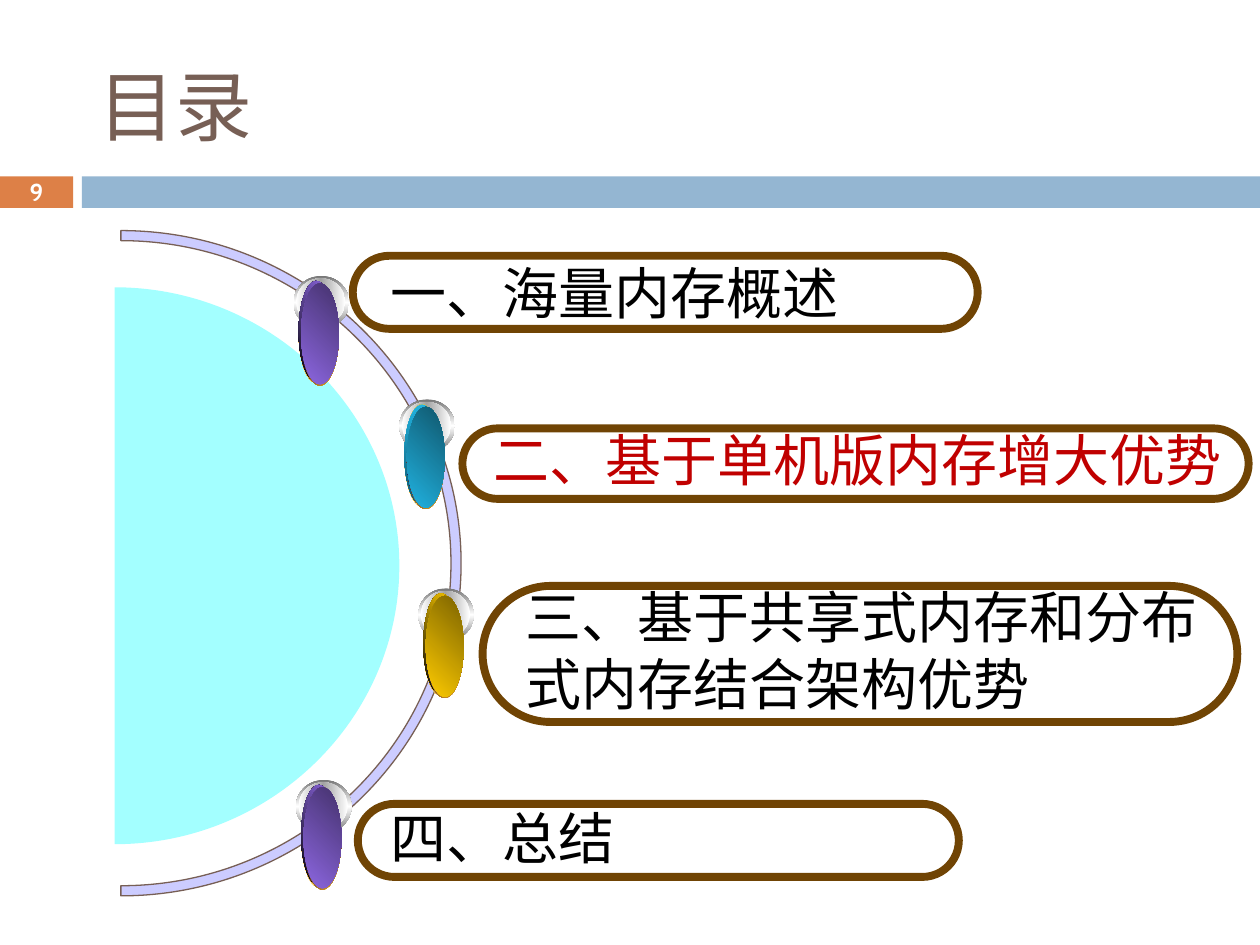
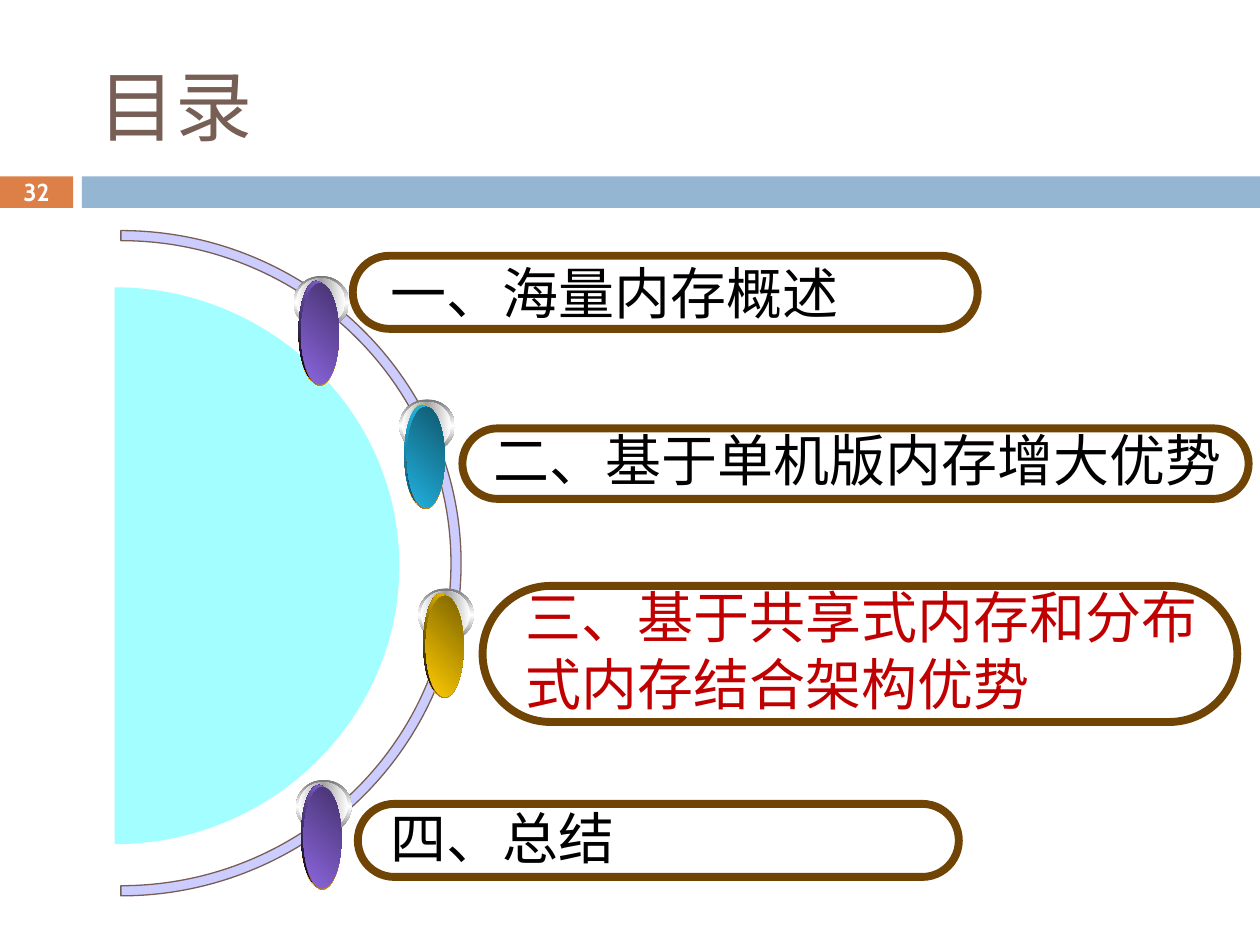
import dataclasses

import pptx
import pptx.dml.color
import pptx.enum.shapes
import pptx.enum.text
import pptx.oxml
import pptx.oxml.ns
import pptx.util


@dataclasses.dataclass(frozen=True)
class Theme:
    title: str = "775F55"
    number_band: str = "DD8047"
    title_band: str = "94B6D2"
    ring: str = "CCCCFF"
    disk: str = "00FFFF"
    disk_opacity: int = 36
    frame: str = "704404"
    text: str = "000000"
    highlight: str = "C00000"
    white: str = "FFFFFF"
    text_font: str = "Noto Sans CJK SC"
    number_font: str = "Cabin"
    title_size: int = 44
    item_size: int = 32
    item_leading: float = 38.5
    number_size: int = 14
    frame_width: float = 4.5
    ring_width: float = 0.75


THEME = Theme()
SLIDE_WIDTH, SLIDE_HEIGHT = 10, 7.5
TITLE = "目录"
PAGES = [{"number": "9", "current": 1}, {"number": "32", "current": 2}]

PURPLE = [("000000", "8D67E1", 315), ("8D67E1", "45326D", 315)]
TEAL = [("21B3E1", "0F5368", 90), ("21B3E1", "10576D", 315)]
GOLD = [("000000", "FFCC00", 315), ("FFCC00", "7C6300", 315)]

ITEMS = [
    {"text": "一、海量内存概述", "frame": (2.8, 2.03, 4.96, 0.58),
     "label": (3, 2, 4.57, 0.63), "pin": (2.33, 2.19), "colors": PURPLE},
    {"text": "二、基于单机版内存增大优势", "frame": (3.67, 3.4, 6.24, 0.56),
     "label": (3.82, 3.33, 6.25, 0.64), "pin": (3.17, 3.17), "colors": TEAL},
    {"text": "三、基于共享式内存和分布式内存结合架构优势", "frame": (3.83, 4.65, 5.99, 1.08),
     "label": (4.07, 4.57, 5.57, 1.18), "pin": (3.32, 4.67), "colors": GOLD},
    {"text": "四、总结", "frame": (2.84, 6.38, 4.77, 0.58),
     "label": (3, 6.33, 4.05, 0.63), "pin": (2.35, 6.19), "colors": PURPLE},
]

RING_CENTER, RING_OUTER, RING_INNER = (0.96, 4.47), (2.7, 2.64), (2.62, 2.56)
DISK_CENTER, DISK_RADII = (0.91, 4.49), (2.26, 2.21)
ARC_PULL = 0.55
SHAPES = pptx.enum.shapes.MSO_SHAPE


def inches(values):
    return [pptx.util.Inches(value) for value in values]


def rgb(color):
    return pptx.dml.color.RGBColor.from_string(color)


def drawing_xml(tag, content="", **attributes):
    listed = "".join(f' {name}="{value}"' for name, value in attributes.items())
    return pptx.oxml.parse_xml(
        f'<a:{tag} {pptx.oxml.ns.nsdecls("a")}{listed}>{content}</a:{tag}>')


def find_part(shape, tag):
    return shape._element.spPr.find(".//" + pptx.oxml.ns.qn(tag))


def style(shape, fill=None, line=None, width=0):
    shape.shadow.inherit = False
    if fill:
        shape.fill.solid()
        shape.fill.fore_color.rgb = rgb(fill)
    else:
        shape.fill.background()
    if line:
        shape.line.color.rgb = rgb(line)
        shape.line.width = pptx.util.Pt(width)
    else:
        shape.line.fill.background()


def add_preset(shapes, kind, box, **look):
    shape = shapes.add_shape(kind, *inches(box))
    style(shape, **look)
    return shape


def set_gradient(shape, colors, angle):
    shape.fill.gradient()
    shape.fill.gradient_angle = (360 - angle) % 360
    stops = find_part(shape, "a:gsLst")
    for stop in list(stops):
        stops.remove(stop)
    for index, color in enumerate(colors):
        position = 100000 * index // (len(colors) - 1)
        stops.append(drawing_xml("gs", f'<a:srgbClr val="{color}"/>', pos=position))


def add_text(slide, box, text, size, color, font, anchor="TOP", align="LEFT",
             bold=False, margins=(0.1, 0.05), leading=None):
    text_box = slide.shapes.add_textbox(*inches(box))
    frame = text_box.text_frame
    frame.word_wrap = True
    frame.vertical_anchor = getattr(pptx.enum.text.MSO_ANCHOR, anchor)
    frame.margin_left = frame.margin_right = pptx.util.Inches(margins[0])
    frame.margin_top = frame.margin_bottom = pptx.util.Inches(margins[1])
    frame.text = text
    paragraph = frame.paragraphs[0]
    paragraph.alignment = getattr(pptx.enum.text.PP_ALIGN, align)
    if leading:
        paragraph.line_spacing = pptx.util.Pt(leading)
    run = paragraph.runs[0]
    run.font.size = pptx.util.Pt(size)
    run.font.bold = bold
    run.font.color.rgb = rgb(color)
    run.font.name = font
    latin = run.font._element.find(pptx.oxml.ns.qn("a:latin"))
    latin.addnext(drawing_xml("ea", typeface=font))


def right_half(center, radii):
    (x, y), (across, down) = center, radii
    return [(x, y - down), (x + across, y), (x, y + down)]


def quarter_arc(start, end):
    corner = max(start[0], end[0]), min(start, end)[1]
    pulled = [tuple(round(point[axis] + ARC_PULL * (corner[axis] - point[axis]))
                    for axis in (0, 1)) for point in (start, end)]
    points = "".join(f'<a:pt x="{x}" y="{y}"/>' for x, y in pulled + [end])
    return drawing_xml("cubicBezTo", points)


def add_curved_outline(slide, points, **look):
    points = [inches(point) for point in points]
    builder = slide.shapes.build_freeform(*points[0])
    builder.add_line_segments(points[1:], close=True)
    shape = builder.convert_to_shape()
    style(shape, **look)
    local = [(x - shape.left, y - shape.top) for x, y in points]
    edges = list(find_part(shape, "a:path"))[1:len(points)]
    for edge, start, end in zip(edges, local, local[1:]):
        if start[0] != end[0]:
            edge.getparent().replace(edge, quarter_arc(start, end))
    return shape


def add_half_circles(slide):
    ring = right_half(RING_CENTER, RING_OUTER) + right_half(RING_CENTER, RING_INNER)[::-1]
    add_curved_outline(slide, ring, fill=THEME.ring, line=THEME.title,
                       width=THEME.ring_width)
    disk = add_curved_outline(slide, right_half(DISK_CENTER, DISK_RADII), fill=THEME.disk)
    find_part(disk, "a:srgbClr").append(drawing_xml("alpha", val=THEME.disk_opacity * 1000))


def add_pin(slide, position, colors):
    (back_start, back_end, back_angle), (front_start, front_end, front_angle) = colors
    layers = [
        (0, 0.44, 0.42, ("767676", "FFFFFF", "767676"), 90),
        (0.02, 0.39, 0.37, ("FFFFFF", "A2A2A2", "FFFFFF"), 0),
        (0.04, 0.28, 0.81, ("F7B615", "FFFFFF", "F7B615"), 315),
        (0.04, 0.28, 0.8, (back_start, back_end), back_angle),
        (0.06, 0.3, 0.81, ("F7B615", "1C0053", "F7B615"), 45),
        (0.06, 0.3, 0.8, (front_start, front_end), front_angle),
    ]
    group = slide.shapes.add_group_shape()
    for offset, width, height, stops, angle in layers:
        box = (position[0] + offset, position[1] + offset, width, height)
        set_gradient(add_preset(group.shapes, SHAPES.OVAL, box), stops, angle)


def add_agenda(slide, current):
    for item in ITEMS:
        add_pin(slide, item["pin"], item["colors"])
    for item in ITEMS:
        frame = add_preset(slide.shapes, SHAPES.ROUNDED_RECTANGLE, item["frame"],
                           line=THEME.frame, width=THEME.frame_width)
        frame.adjustments[0] = 0.5
    for index, item in enumerate(ITEMS):
        color = THEME.highlight if index == current else THEME.text
        add_text(slide, item["label"], item["text"], THEME.item_size, color,
                 THEME.text_font, leading=THEME.item_leading)


def add_header(slide):
    add_preset(slide.shapes, SHAPES.RECTANGLE, (0, 1.4, 0.58, 0.25), fill=THEME.number_band)
    add_preset(slide.shapes, SHAPES.RECTANGLE, (0.65, 1.4, SLIDE_WIDTH - 0.65, 0.25),
               fill=THEME.title_band)
    add_text(slide, (0.68, 0.33, 9.05, 1), TITLE, THEME.title_size, THEME.title,
             THEME.text_font, anchor="MIDDLE")


def add_number(slide, number):
    add_text(slide, (0, 1.39, 0.58, 0.27), number, THEME.number_size, THEME.white,
             THEME.number_font, anchor="MIDDLE", align="CENTER", bold=True, margins=(0, 0))


def main():
    presentation = pptx.Presentation()
    presentation.slide_width, presentation.slide_height = inches((SLIDE_WIDTH, SLIDE_HEIGHT))
    for page in PAGES:
        slide = presentation.slides.add_slide(presentation.slide_layouts[6])
        add_header(slide)
        add_half_circles(slide)
        add_agenda(slide, page["current"])
        add_number(slide, page["number"])
    presentation.save("out.pptx")


if __name__ == "__main__":
    main()
